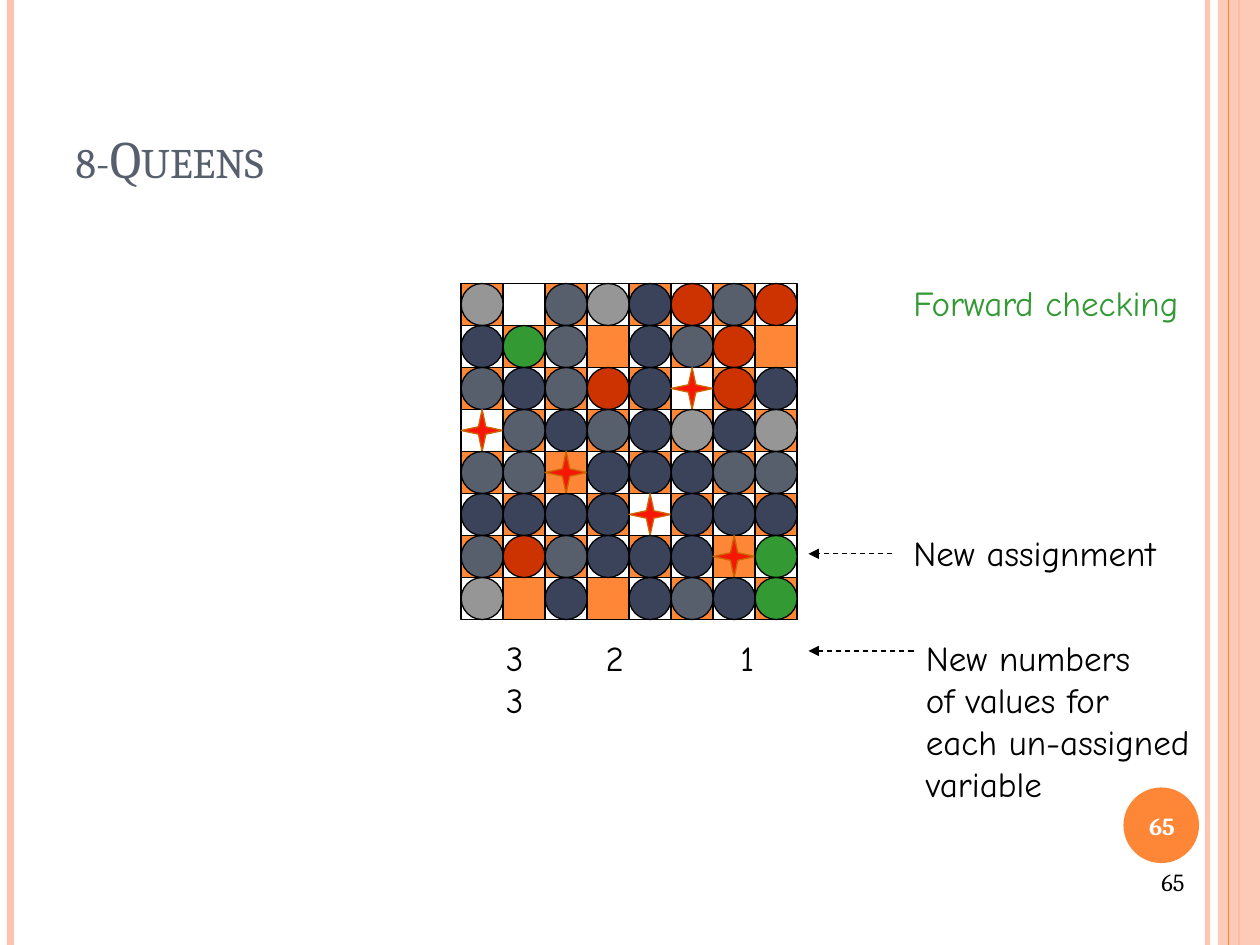
from dataclasses import dataclass

from lxml.etree import SubElement
from pptx import Presentation
from pptx.dml.color import RGBColor
from pptx.enum.dml import MSO_LINE
from pptx.enum.shapes import MSO_CONNECTOR, MSO_SHAPE
from pptx.enum.text import MSO_ANCHOR, PP_ALIGN
from pptx.oxml.ns import qn
from pptx.util import Pt


@dataclass(frozen=True)
class Theme:
    orange: str = "FE8637"
    peach: str = "FEC3AE"
    slate: str = "575F6D"
    navy: str = "3B435B"
    grey: str = "969696"
    red: str = "CC3300"
    green: str = "339933"
    queen: str = "F81706"
    queen_edge: str = "CC6600"
    black: str = "000000"
    white: str = "FFFFFF"
    heading_font: str = "Cambria"
    note_font: str = "Comic Neue"
    title_size: int = 30
    note_size: int = 20
    number_size: int = 14
    thin: float = 0.75


BOARD = (
    "G.SGNRSR",
    "NVS.NSR.",
    "SNSRNQRN",
    "QSNSNGNG",
    "SSQNNNSS",
    "NNNNQNNN",
    "SRSNNNQV",
    "G.N.NSNV",
)
BOARD_LEFT, BOARD_TOP, CELL = 263.5, 162, 24


def write(frame, text, *, font, size, color, bold=False, small_caps=False,
          align=PP_ALIGN.LEFT, anchor=MSO_ANCHOR.TOP, tabs=()):
    frame.word_wrap = True
    frame.vertical_anchor = anchor
    frame.text = text
    for paragraph in frame.paragraphs:
        paragraph.alignment = align
        if tabs:
            stops = SubElement(paragraph._p.get_or_add_pPr(), qn("a:tabLst"))
            for position in tabs:
                SubElement(stops, qn("a:tab"), pos=str(Pt(position)), algn="l")
        for run in paragraph.runs:
            run.font.name = font
            run.font.size = Pt(size)
            run.font.bold = bold
            run.font.color.rgb = RGBColor.from_string(color)
            if small_caps:
                run.font._element.set("cap", "small")


def set_opacity(fill_parent, percent):
    color = fill_parent.find(qn("a:solidFill"))[0]
    SubElement(color, qn("a:alpha"), val=str(percent * 1000))


class SlideBuilder:
    def __init__(self, slide, theme):
        self.slide = slide
        self.theme = theme

    def title(self, text, left, top, width, height):
        heading = self.slide.shapes.title
        heading.left, heading.top = Pt(left), Pt(top)
        heading.width, heading.height = Pt(width), Pt(height)
        write(heading.text_frame, text, font=self.theme.heading_font,
              size=self.theme.title_size, color=self.theme.slate,
              small_caps=True, anchor=MSO_ANCHOR.BOTTOM)

    def shape(self, kind, left, top, width, height, fill=None, edge=None, opacity=None):
        figure = self.slide.shapes.add_shape(kind, Pt(left), Pt(top), Pt(width), Pt(height))
        figure.shadow.inherit = False
        if fill:
            figure.fill.solid()
            figure.fill.fore_color.rgb = RGBColor.from_string(fill)
        else:
            figure.fill.background()
        if edge:
            figure.line.color.rgb = RGBColor.from_string(edge)
            figure.line.width = Pt(self.theme.thin)
        else:
            figure.line.fill.background()
        if opacity:
            set_opacity(figure._element.spPr, opacity)
        return figure

    def line(self, x1, y1, x2, y2, color, width, opacity=None, arrow=False):
        stroke = self.slide.shapes.add_connector(
            MSO_CONNECTOR.STRAIGHT, Pt(x1), Pt(y1), Pt(x2), Pt(y2))
        stroke.line.color.rgb = RGBColor.from_string(color)
        stroke.line.width = Pt(width)
        properties = stroke._element.spPr
        outline = properties.find(qn("a:ln"))
        if opacity:
            set_opacity(outline, opacity)
        if arrow:
            stroke.line.dash_style = MSO_LINE.DASH
            SubElement(outline, qn("a:tailEnd"), type="triangle")
        SubElement(properties, qn("a:effectLst"))

    def text(self, text, left, top, width, height, **style):
        box = self.slide.shapes.add_textbox(Pt(left), Pt(top), Pt(width), Pt(height))
        write(box.text_frame, text, **style)

    def note(self, text, left, top, width, height, color=None, tabs=()):
        self.text(text, left, top, width, height, font=self.theme.note_font,
                  size=self.theme.note_size, color=color or self.theme.black, tabs=tabs)

    def board(self, rows):
        theme = self.theme
        markers = {"N": theme.navy, "S": theme.slate, "G": theme.grey,
                   "R": theme.red, "V": theme.green}
        side = CELL * len(rows)
        self.shape(MSO_SHAPE.RECTANGLE, BOARD_LEFT, BOARD_TOP, side, side, edge=theme.black)
        cells = [(row, column, mark) for row, marks in enumerate(rows)
                 for column, mark in enumerate(marks)]
        for row, column, _ in cells:
            if (row + column) % 2 == 0:
                self.shape(MSO_SHAPE.RECTANGLE, BOARD_LEFT + column * CELL,
                           BOARD_TOP + row * CELL, CELL, CELL, theme.orange, theme.black)
        for row, column, mark in cells:
            place = (BOARD_LEFT + column * CELL, BOARD_TOP + row * CELL, CELL, CELL)
            if mark == "Q":
                queen = self.shape(MSO_SHAPE.STAR_4_POINT, *place,
                                   theme.queen, theme.queen_edge)
                queen.adjustments[0] = 0.125
            elif mark in markers:
                self.shape(MSO_SHAPE.OVAL, *place, markers[mark], theme.black)


def main():
    presentation = Presentation()
    presentation.slide_width, presentation.slide_height = Pt(720), Pt(540)
    theme = Theme()
    page = SlideBuilder(presentation.slides.add_slide(presentation.slide_layouts[5]), theme)

    page.line(690, 0, 690, 540, theme.peach, 3, opacity=93)
    page.line(6, 0, 6, 540, theme.peach, 4.5)
    page.line(708, 0, 708, 540, theme.orange, 1.5)
    page.shape(MSO_SHAPE.RECTANGLE, 696, 0, 24, 540, theme.peach, opacity=87)
    page.line(702, 0, 702, 540, theme.orange, theme.thin)
    page.shape(MSO_SHAPE.OVAL, 642, 450, 43.2, 43.2, theme.orange)
    page.text("65", 640, 451.5, 48, 41, font=theme.heading_font, size=theme.number_size,
              color=theme.white, bold=True, align=PP_ALIGN.CENTER, anchor=MSO_ANCHOR.MIDDLE)

    page.title("8-Queens", 36, 21.6, 588, 90)
    page.board(BOARD)

    page.note("3\t2\t1\v3", 282, 360, 174, 55, tabs=(57, 134))
    page.note("New numbers\nof values for\neach un-assigned\vvariable", 522, 360, 172, 103)
    page.line(522, 372, 462, 372, theme.black, theme.thin, arrow=True)
    page.note("New assignment", 514.8, 300, 164, 31)
    page.line(510, 316.5, 462, 316.5, theme.black, theme.thin, arrow=True)
    page.note("Forward checking", 514.8, 157.5, 178.5, 31, color=theme.green)
    page.text("65", 516, 492, 168, 37.5, font=theme.heading_font, size=theme.number_size,
              color=theme.black, align=PP_ALIGN.RIGHT)

    presentation.save("out.pptx")


if __name__ == "__main__":
    main()
